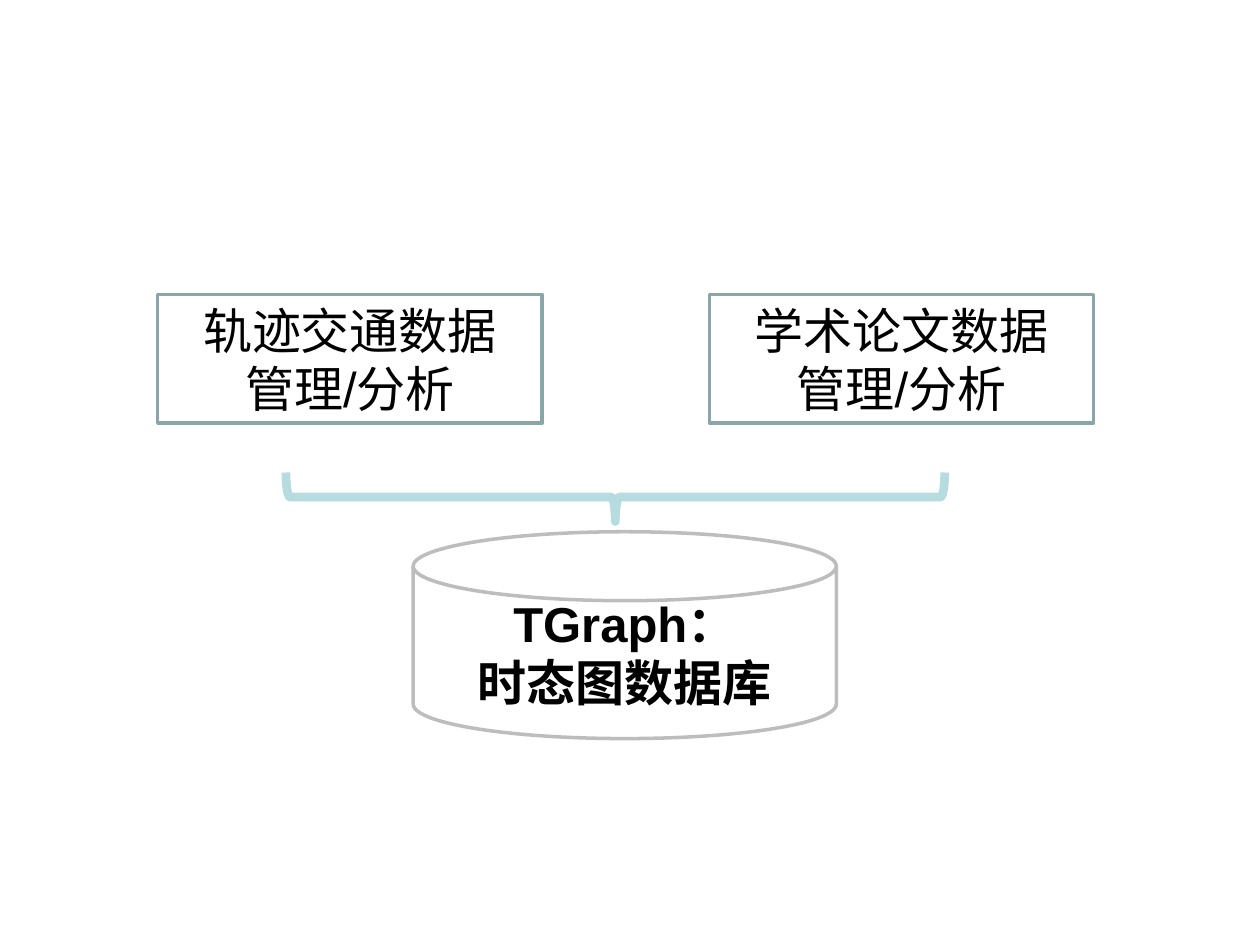
from pptx import Presentation
from pptx.dml.color import RGBColor
from pptx.enum.shapes import MSO_SHAPE
from pptx.enum.text import MSO_ANCHOR, PP_ALIGN
from pptx.util import Cm, Pt

BLACK = RGBColor(0x00, 0x00, 0x00)
WHITE = RGBColor(0xFF, 0xFF, 0xFF)
SILVER = RGBColor(0xBD, 0xBD, 0xBD)
SLATE = RGBColor(0x8A, 0xA6, 0xA8)
AQUA = RGBColor(0xB6, 0xDC, 0xDF)


def write_text(frame, text, font="Arial", size=28, color=BLACK, bold=False):
    frame.word_wrap = True
    frame.vertical_anchor = MSO_ANCHOR.MIDDLE
    frame.text = text
    for paragraph in frame.paragraphs:
        paragraph.alignment = PP_ALIGN.CENTER
        for run in paragraph.runs:
            run.font.name = font
            run.font.size = Pt(size)
            run.font.color.rgb = color
            run.font.bold = bold


class ArchitectureSlide:
    line_width = 2

    def __init__(self, slide):
        self.slide = slide

    def outline(self, kind, left, top, width, height, color, weight=line_width):
        shape = self.slide.shapes.add_shape(
            kind, Cm(left), Cm(top), Cm(width), Cm(height))
        shape.shadow.inherit = False
        shape.fill.background()
        shape.line.color.rgb = color
        shape.line.width = Pt(weight)
        return shape

    def database(self, left, top, width, height, text):
        disk = self.outline(MSO_SHAPE.FLOWCHART_MAGNETIC_DISK,
                            left, top, width, height, SILVER)
        disk.fill.solid()
        disk.fill.fore_color.rgb = WHITE
        write_text(disk.text_frame, text, bold=True)

    def application(self, left, top, width, height, text):
        box = self.outline(MSO_SHAPE.RECTANGLE, left, top, width, height, SLATE)
        write_text(box.text_frame, text)

    def brace(self, left, top, width, height):
        brace = self.outline(MSO_SHAPE.LEFT_BRACE, left, top, width, height, AQUA, 5)
        brace.rotation = 270


def main():
    presentation = Presentation()
    presentation.slide_width = Cm(25.4)
    presentation.slide_height = Cm(19.05)
    page = ArchitectureSlide(
        presentation.slides.add_slide(presentation.slide_layouts[6]))

    page.database(8.33, 10.72, 8.53, 4.17, "TGraph:\n时态图数据库".replace(":", "："))
    for left, topic in ((3.18, "轨迹交通数据"), (14.3, "学术论文数据")):
        page.application(left, 5.94, 7.75, 2.59, f"{topic}\n管理/分析")
    page.brace(11.91, 3.38, 0.99, 13.28)

    presentation.save("out.pptx")


if __name__ == "__main__":
    main()
